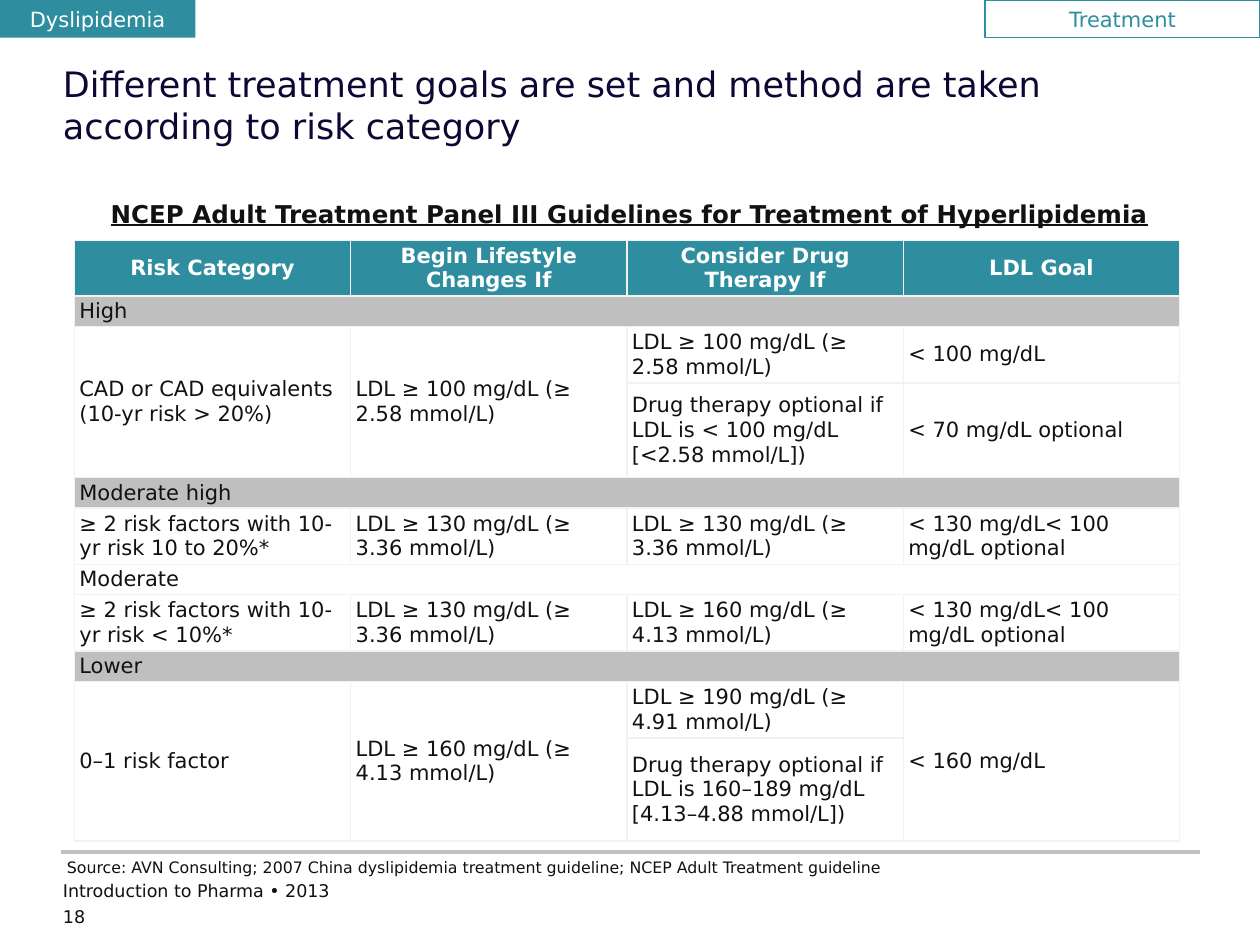
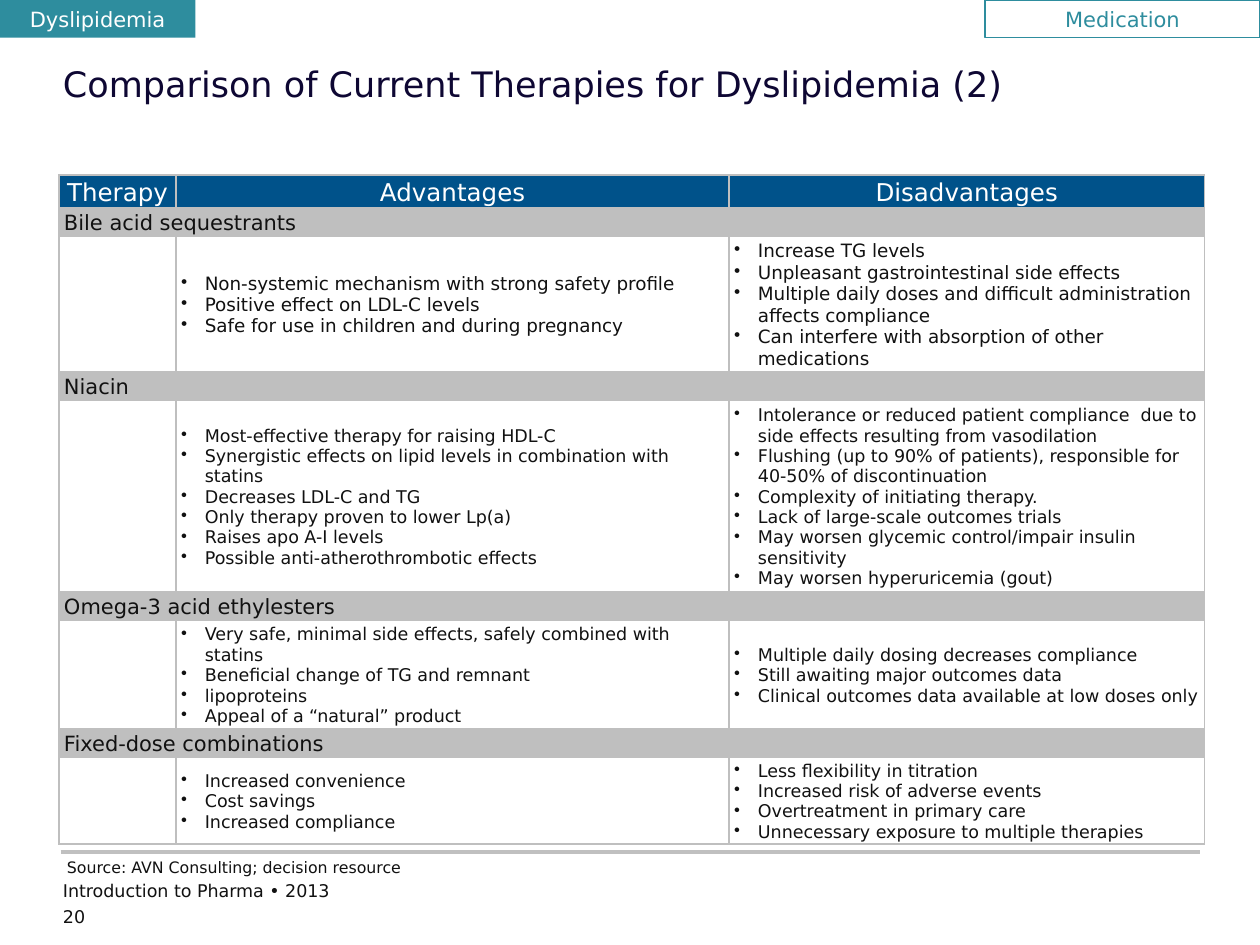
"""Build two slides on dyslipidemia treatment goals and therapies."""
import dataclasses
import typing

import lxml.etree
import pptx
import pptx.dml.color
import pptx.enum.shapes
import pptx.enum.text
import pptx.oxml.ns
import pptx.slide
import pptx.table
import pptx.text.text
import pptx.util

FONT = "DejaVu Sans"
INK, NAVY, WHITE = "111111", "0E0733", "FFFFFF"
TEAL, BLUE = "2E8D9E", "00528A"
SECTION, RULE, PALE = "BFBFBF", "C0C0C0", "F2F2F2"

Cm = pptx.util.Cm
Pt = pptx.util.Pt
qn = pptx.oxml.ns.qn
Align = pptx.enum.text.PP_ALIGN
Anchor = pptx.enum.text.MSO_ANCHOR
Box = tuple[float, float, float, float]
Content = typing.Union[str, list[str], None]

NO_INSETS = (0, 0, 0, 0)
SHAPE_INSETS = (0.25, 0.13, 0.25, 0.13)


@dataclasses.dataclass
class Row:
    """One table row; a single cell spans the row, None continues the cell above."""

    height: float
    cells: list[Content]
    size: float = 12
    color: str = INK
    fill: typing.Optional[str] = None
    bold: bool = False
    centred: bool = False


@dataclasses.dataclass
class Grid:
    """A table with its place, column widths, border colour and rows."""

    left: float
    top: float
    widths: list[float]
    border: str
    bottom_inset: float
    rows: list[Row]


@dataclasses.dataclass
class Page:
    """What differs between the slides."""

    number: int
    topic: str
    title: str
    source: str
    grid: Grid
    heading: str = ""


def rgb(value: str) -> pptx.dml.color.RGBColor:
    """Turn a hex string into a colour."""
    return pptx.dml.color.RGBColor.from_string(value)


def add_bullet(p: typing.Any) -> None:
    """Give a paragraph a hanging round bullet."""
    pPr = p._p.get_or_add_pPr()
    pPr.set("marL", str(Cm(0.48)))
    pPr.set("indent", str(-Cm(0.48)))
    lxml.etree.SubElement(pPr, qn("a:buChar")).set("char", "•")


def write(tf: pptx.text.text.TextFrame, text: typing.Union[str, list[str]], *, size: float,
          color: str = INK, bold: bool = False, underline: bool = False,
          centred: bool = False) -> None:
    """Write a string, or a list of strings as bullets, into a text frame."""
    bulleted = isinstance(text, list)
    for i, line in enumerate(text if bulleted else [text]):
        p = tf.add_paragraph() if i else tf.paragraphs[0]
        p.alignment = Align.CENTER if centred else Align.LEFT
        if bulleted:
            add_bullet(p)
        r = p.add_run()
        r.text = line
        r.font.name, r.font.size = FONT, Pt(size)
        r.font.bold, r.font.underline = bold, underline
        r.font.color.rgb = rgb(color)


def set_insets(target: typing.Any, insets: Box) -> None:
    """Set left, top, right and bottom margins of a frame or cell."""
    for side, value in zip(("left", "top", "right", "bottom"), insets):
        setattr(target, f"margin_{side}", Cm(value))


def add_text(s: pptx.slide.Slide, box: Box, text: str, insets: Box = NO_INSETS,
             **style: typing.Any) -> None:
    """Add a wrapped text box."""
    tf = s.shapes.add_textbox(*map(Cm, box)).text_frame
    tf.word_wrap = True
    set_insets(tf, insets)
    write(tf, text, **style)


def add_tab(s: pptx.slide.Slide, left: float, width: float, text: str, filled: bool) -> None:
    """Add a filled or outlined label at the top edge."""
    sp = s.shapes.add_shape(pptx.enum.shapes.MSO_SHAPE.RECTANGLE,
                            Cm(left), 0, Cm(width), Cm(0.76))
    sp.shadow.inherit = False
    if filled:
        sp.fill.solid()
        sp.fill.fore_color.rgb = rgb(TEAL)
        sp.line.fill.background()
    else:
        sp.fill.background()
        sp.line.color.rgb = rgb(TEAL)
        sp.line.width = Pt(0.75)
    tf = sp.text_frame
    tf.vertical_anchor = Anchor.MIDDLE
    set_insets(tf, SHAPE_INSETS)
    write(tf, text, size=12, color=WHITE if filled else TEAL, centred=True)


def add_rule(s: pptx.slide.Slide) -> None:
    """Draw the line above the footer."""
    line = s.shapes.add_connector(pptx.enum.shapes.MSO_CONNECTOR.STRAIGHT,
                                  Cm(1.22), Cm(17.17), Cm(24.2), Cm(17.17))
    line.line.color.rgb = rgb(RULE)
    line.line.width = Pt(2)
    lxml.etree.SubElement(line._element.spPr, qn("a:effectLst"))


def format_cell(cell: typing.Any, fill: typing.Optional[str], border: str) -> None:
    """Set the fill and the four borders of a cell."""
    if fill:
        cell.fill.solid()
        cell.fill.fore_color.rgb = rgb(fill)
    else:
        cell.fill.background()
    tcPr = cell._tc.get_or_add_tcPr()
    for i, side in enumerate("LRTB"):
        ln = lxml.etree.Element(qn(f"a:ln{side}"), w=str(Pt(1)))
        solid = lxml.etree.SubElement(ln, qn("a:solidFill"))
        lxml.etree.SubElement(solid, qn("a:srgbClr")).set("val", border)
        tcPr.insert(i, ln)


def add_grid(s: pptx.slide.Slide, grid: Grid) -> None:
    """Add a table, merging section rows and continued cells."""
    n_rows, n_cols = len(grid.rows), len(grid.widths)
    frame = s.shapes.add_table(n_rows, n_cols, Cm(grid.left), Cm(grid.top),
                               Cm(sum(grid.widths)), Cm(sum(r.height for r in grid.rows)))
    table: pptx.table.Table = frame.table
    table.first_row = table.horz_banding = False
    for column, width in zip(table.columns, grid.widths):
        column.width = Cm(width)
    for i, row in enumerate(grid.rows):
        table.rows[i].height = Cm(row.height)
        for j in range(n_cols):
            format_cell(table.cell(i, j), row.fill, grid.border)
        if len(row.cells) == 1:
            table.cell(i, 0).merge(table.cell(i, n_cols - 1))
        for j, content in enumerate(row.cells):
            cell = table.cell(i, j)
            if content is None:
                table.cell(i - 1, j).merge(cell)
                continue
            cell.vertical_anchor = Anchor.MIDDLE
            set_insets(cell, (0.1, 0.05, 0.1, grid.bottom_inset))
            if content:
                write(cell.text_frame, content, size=row.size, color=row.color,
                      bold=row.bold, centred=row.centred)


def ldl(mg: int, mmol: str) -> str:
    """Word an LDL threshold in both units."""
    return f"LDL ≥ {mg} mg/dL (≥ {mmol} mmol/L)"


def section(name: str, height: float, fill: typing.Optional[str] = SECTION) -> Row:
    """Make a row that spans the table."""
    return Row(height, [name], fill=fill)


def add_page(prs: typing.Any, page: Page) -> None:
    """Add one slide with its shared frame and its table."""
    s = prs.slides.add_slide(prs.slide_layouts[6])
    add_rule(s)
    add_text(s, (1.27, 18.26, 1.22, 0.51), str(page.number), size=10)
    add_text(s, (1.27, 1.27, 22.86, 2.54), page.title, size=20, color=NAVY)
    add_text(s, (1.27, 17.75, 16.97, 0.58), "Introduction to Pharma • 2013", size=10)
    add_tab(s, 19.86, 5.54, page.topic, filled=False)
    add_tab(s, 0, 3.94, "Dyslipidemia", filled=True)
    add_grid(s, page.grid)
    if page.heading:
        add_text(s, (1.98, 3.89, 21.74, 0.86), page.heading, SHAPE_INSETS,
                 size=14, bold=True, underline=True)
    add_text(s, (1.35, 17.3, 17, 0.38), page.source, size=9)


OPTIONAL_GOAL = "< 130 mg/dL< 100 mg/dL optional"

GOALS = Grid(1.5, 4.85, [5.57] * 4, PALE, 0.05, [
    Row(1.12, ["Risk Category", "Begin Lifestyle Changes If", "Consider Drug Therapy If",
               "LDL Goal"], color=WHITE, fill=TEAL, bold=True, centred=True),
    section("High", 0.61),
    Row(1.14, ["CAD or CAD equivalents (10-yr risk > 20%)", ldl(100, "2.58"),
               ldl(100, "2.58"), "< 100 mg/dL"]),
    Row(1.91, [None, None, "Drug therapy optional if LDL is < 100 mg/dL [<2.58 mmol/L])",
               "< 70 mg/dL optional"]),
    section("Moderate high", 0.61),
    Row(1.14, ["≥ 2 risk factors with 10-yr risk 10 to 20%*", ldl(130, "3.36"),
               ldl(130, "3.36"), OPTIONAL_GOAL]),
    section("Moderate", 0.61, fill=None),
    Row(1.14, ["≥ 2 risk factors with 10-yr risk < 10%*", ldl(130, "3.36"),
               ldl(160, "4.13"), OPTIONAL_GOAL]),
    section("Lower", 0.61),
    Row(1.14, ["0–1 risk factor", ldl(160, "4.13"), ldl(190, "4.91"), "< 160 mg/dL"]),
    Row(2.08, [None, None, "Drug therapy optional if LDL is 160–189 mg/dL [4.13–4.88 mmol/L])",
               None]),
])

THERAPIES = Grid(1.19, 3.53, [2.36, 11.15, 9.58], SECTION, 0, [
    Row(0.66, ["Therapy", "Advantages", "Disadvantages"], size=14, color=WHITE, fill=BLUE,
        centred=True),
    section("Bile acid sequestrants", 0.58),
    Row(2.7, ["", ["Non-systemic mechanism with strong safety profile",
                   "Positive effect on LDL-C levels",
                   "Safe for use in children and during pregnancy"],
              ["Increase TG levels",
               "Unpleasant gastrointestinal side effects",
               "Multiple daily doses and difficult administration affects compliance",
               "Can interfere with absorption of other medications"]], size=10.5),
    section("Niacin", 0.58),
    Row(3.83, ["", ["Most-effective therapy for raising HDL-C",
                    "Synergistic effects on lipid levels in combination with statins",
                    "Decreases LDL-C and TG",
                    "Only therapy proven to lower Lp(a)",
                    "Raises apo A-I levels",
                    "Possible anti-atherothrombotic effects"],
               ["Intolerance or reduced patient compliance  due to side effects resulting "
                "from vasodilation",
                "Flushing (up to 90% of patients), responsible for 40-50% of discontinuation",
                "Complexity of initiating therapy.",
                "Lack of large-scale outcomes trials",
                "May worsen glycemic control/impair insulin sensitivity",
                "May worsen hyperuricemia (gout)"]], size=10),
    section("Omega-3 acid ethylesters", 0.58),
    Row(2.13, ["", ["Very safe, minimal side effects, safely combined with statins",
                    "Beneficial change of TG and remnant",
                    "lipoproteins",
                    "Appeal of a “natural” product"],
               ["Multiple daily dosing decreases compliance",
                "Still awaiting major outcomes data",
                "Clinical outcomes data available at low doses only"]], size=10),
    section("Fixed-dose combinations", 0.58),
    Row(1.73, ["", ["Increased convenience", "Cost savings", "Increased compliance"],
               ["Less flexibility in titration",
                "Increased risk of adverse events",
                "Overtreatment in primary care",
                "Unnecessary exposure to multiple therapies"]], size=10),
])

PAGES = [
    Page(18, "Treatment",
         "Different treatment goals are set and method are taken according to risk category",
         "Source: AVN Consulting; 2007 China dyslipidemia treatment guideline; "
         "NCEP Adult Treatment guideline", GOALS,
         "NCEP Adult Treatment Panel III Guidelines for Treatment of Hyperlipidemia"),
    Page(20, "Medication", "Comparison of Current Therapies for Dyslipidemia (2)",
         "Source: AVN Consulting; decision resource", THERAPIES),
]


def main() -> None:
    """Build and save the presentation."""
    prs = pptx.Presentation()
    prs.slide_width, prs.slide_height = Cm(25.4), Cm(19.05)
    for page in PAGES:
        add_page(prs, page)
    prs.save("out.pptx")


if __name__ == "__main__":
    main()
